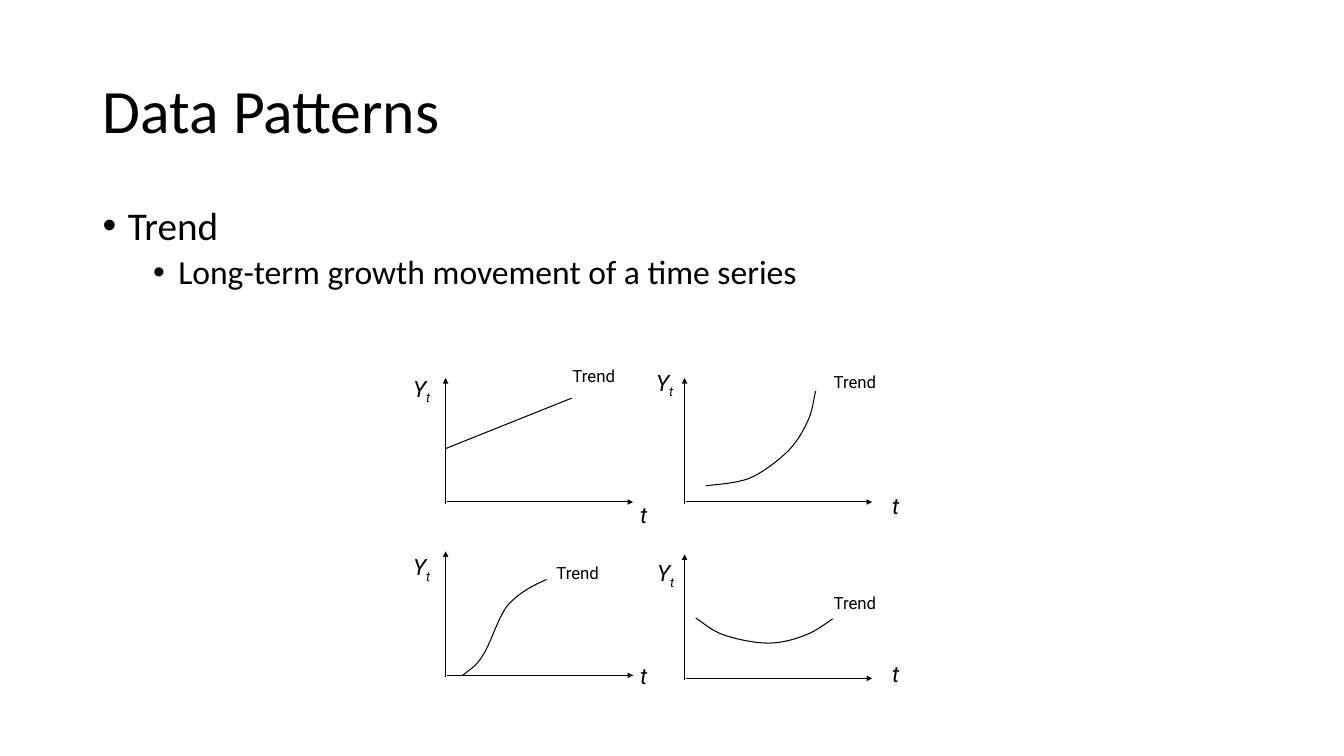
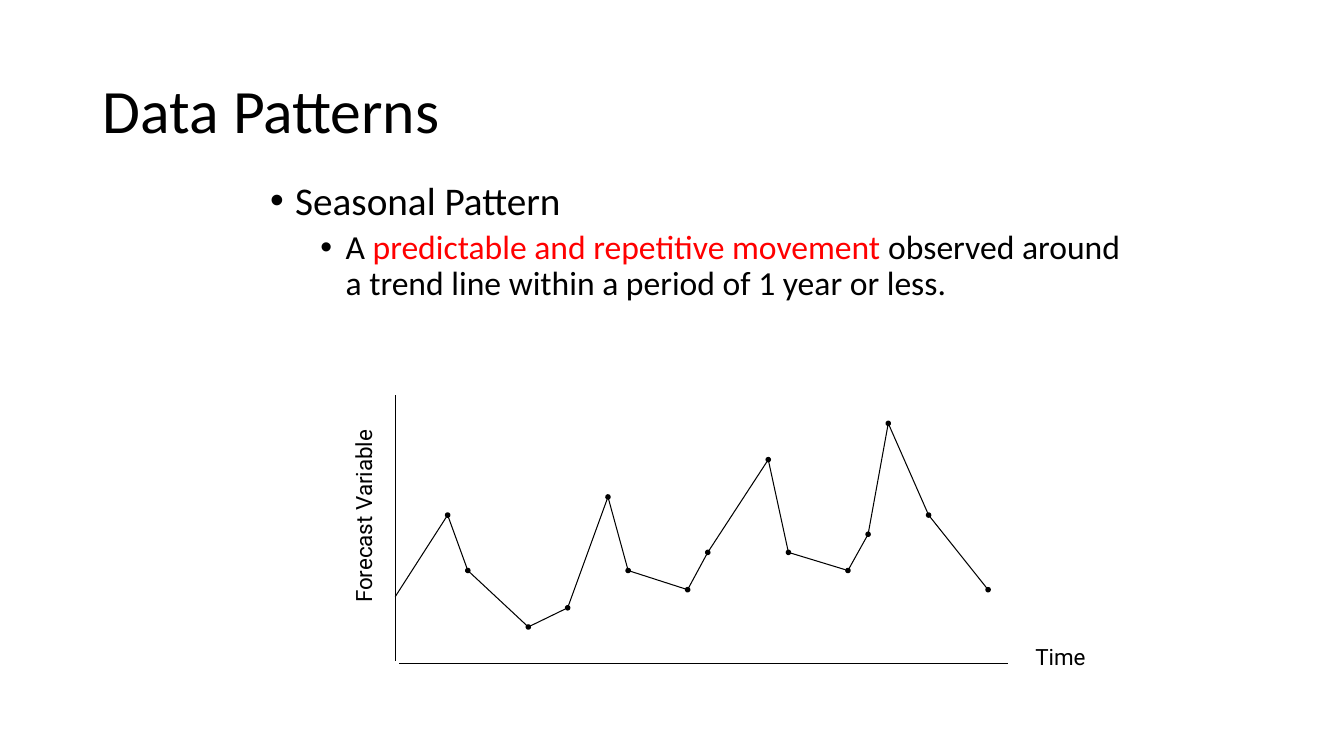
from dataclasses import dataclass
from itertools import pairwise

from lxml import etree
from pptx import Presentation
from pptx.dml.color import RGBColor
from pptx.enum.shapes import MSO_CONNECTOR
from pptx.enum.text import MSO_ANCHOR, MSO_AUTO_SIZE, PP_ALIGN
from pptx.oxml.ns import qn
from pptx.util import Pt

PX = 9144
STRAIGHT = MSO_CONNECTOR.STRAIGHT
MIDDLE = MSO_ANCHOR.MIDDLE
NO_AUTOFIT = MSO_AUTO_SIZE.NONE
LEFT = PP_ALIGN.LEFT

BLACK, RED = "000000", "FF0000"
BODY_FONT, LABEL_FONT = "Calibri", "Roboto"
TITLE_ONLY = 5
TITLE_BOX = (92, 40, 1150, 145)
BULLET_LEVELS = ((25, 28, 0), (75, 24, 5))


@dataclass
class Panel:
    """One small trend chart, with parts placed from the top of its axis."""

    origin: tuple
    value_label: tuple
    time_label: tuple
    trend_label: tuple
    curve: tuple


PANELS = (
    Panel((442, 375), (-42, -8), (183, 117), (116, -17), ((0, 70), (125, 20))),
    Panel((679, 375), (-38, -14), (196, 108), (138, -11),
          ((21, 107), (27, 106), (49, 105), (63, 100), (76, 95), (90, 84), (100, 75),
           (110, 66), (117, 54), (122, 43), (127, 33), (128, 20), (130, 13))),
    Panel((442, 547), (-42, -3), (183, 105), (100, 6),
          ((17, 123), (21, 119), (30, 115), (37, 103), (45, 91), (52, 65), (62, 53),
           (73, 41), (86, 34), (100, 28))),
    Panel((679, 550), (-37, 0), (196, 100), (138, 33),
          ((11, 63), (16, 66), (27, 76), (39, 80), (51, 84), (69, 88), (83, 88),
           (97, 88), (110, 84), (120, 80), (131, 76), (142, 67), (147, 64))),
)

SEASONAL_POINTS = (
    (0, 200), (52, 119), (72, 174), (132, 230), (171, 211), (211, 101), (231, 174),
    (290, 193), (310, 156), (370, 64), (390, 156), (449, 174), (469, 138), (489, 28),
    (529, 119), (588, 193),
)


def px(value):
    """Turn px into whole EMU."""
    return round(value * PX)


def color(value):
    """Turn a hex string into a colour."""
    return RGBColor.from_string(value)


def shift(origin, offset):
    """Add an offset to a point."""
    return origin[0] + offset[0], origin[1] + offset[1]


def style_font(font, name, size, fill=BLACK, italic=False):
    """Set the look of a font."""
    font.name, font.size, font.italic = name, Pt(size), italic
    font.color.rgb = color(fill)


def style_line(line):
    """Give a line the shared thin black stroke."""
    line.color.rgb = color(BLACK)
    line.width = Pt(0.75)


def add_line(shapes, start, end, tip=None):
    """Draw a straight line, with an optional small marker at its end."""
    line = shapes.add_connector(STRAIGHT, *map(px, (*start, *end)))
    style_line(line.line)
    if tip:
        etree.SubElement(line.line._get_or_add_ln(), qn("a:tailEnd"),
                         type=tip, w="sm", len="sm")
    etree.SubElement(line._element.spPr, qn("a:effectLst"))


def add_curve(shapes, points):
    """Draw a chain of cubic curves, each of three points after the last."""
    builder = shapes.build_freeform(*map(px, points[0]))
    builder.add_line_segments([tuple(map(px, point)) for point in points[1:]], close=False)
    curve = builder.convert_to_shape()
    curve.fill.background()
    curve.shadow.inherit = False
    style_line(curve.line)
    outline = next(curve._element.iter(qn("a:path")))
    steps = outline.findall(qn("a:lnTo"))
    for first in range(0, len(steps), 3):
        cubic = etree.SubElement(outline, qn("a:cubicBezTo"))
        for step in steps[first:first + 3]:
            cubic.append(step[0])
            outline.remove(step)


def add_label(shapes, text, corner, width, size=16, height=37, italic=False, subscript=""):
    """Place a chart label and return its box."""
    box = shapes.add_textbox(*map(px, (*corner, width, height)))
    box.text_frame.word_wrap = True
    para = box.text_frame.paragraphs[0]
    para.text = text
    if subscript:
        span = para.add_run()
        span.text = subscript
        span._r.get_or_add_rPr().set("baseline", "-25000")
    for span in para.runs:
        style_font(span.font, LABEL_FONT, size, italic=italic)
    return box


def add_page(deck, title):
    """Add a slide with the shared title style."""
    page = deck.slides.add_slide(deck.slide_layouts[TITLE_ONLY])
    box = page.shapes.title
    box.left, box.top, box.width, box.height = map(px, TITLE_BOX)
    frame = box.text_frame
    frame.text = title
    frame.vertical_anchor = MIDDLE
    frame.auto_size = NO_AUTOFIT
    para = frame.paragraphs[0]
    para.alignment = LEFT
    para.line_spacing = 0.9
    style_font(para.runs[0].font, BODY_FONT, 44)
    return page


def add_bullets(page, box, items):
    """Fill a box with one bullet per level, each made of coloured spans."""
    frame = page.shapes.add_textbox(*map(px, box)).text_frame
    frame.word_wrap = True
    for level, spans in enumerate(items):
        indent, size, space = BULLET_LEVELS[level]
        para = frame.add_paragraph() if level else frame.paragraphs[0]
        para.level = level
        para.line_spacing = 0.9
        para.space_before = Pt(space)
        properties = para._p.get_or_add_pPr()
        properties.set("marL", str(px(indent)))
        properties.set("indent", str(px(-25)))
        etree.SubElement(properties, qn("a:buFont"), typeface="Arial")
        etree.SubElement(properties, qn("a:buChar"), char="•")
        for text, fill in spans:
            span = para.add_run()
            span.text = text
            style_font(span.font, BODY_FONT, size, fill)


def add_trend_panel(page, drawing, panel):
    """Draw one trend chart with its axes, curve and labels."""
    origin = panel.origin
    add_line(drawing, shift(origin, (0, 125)), origin, "triangle")
    add_line(drawing, shift(origin, (1, 123)), shift(origin, (186, 123)), "triangle")
    points = [shift(origin, point) for point in panel.curve]
    if len(points) == 2:
        add_line(drawing, *points)
    else:
        add_curve(drawing, points)
    labels = page.shapes
    add_label(labels, "Y", shift(origin, panel.value_label), 50, italic=True, subscript="t")
    add_label(labels, "t", shift(origin, panel.time_label), 33, italic=True)
    add_label(labels, "Trend", shift(origin, panel.trend_label), 83, size=12, height=30)


def add_seasonal_chart(page, origin):
    """Draw the seasonal line with its axes and labels."""
    drawing = page.shapes.add_group_shape().shapes
    add_line(drawing, origin, shift(origin, (0, 264)))
    add_line(drawing, shift(origin, (4, 266)), shift(origin, (608, 266)))
    for start, end in pairwise(SEASONAL_POINTS):
        add_line(drawing, shift(origin, start), shift(origin, end), "oval")
    labels = page.shapes
    add_label(labels, "Time", shift(origin, (625, 241)), 92)
    add_label(labels, "Forecast Variable", shift(origin, (-169, 60)), 275).rotation = 270


def build_trend_page(deck):
    """Build the slide on trends."""
    page = add_page(deck, "Data Patterns")
    add_bullets(page, (92, 200, 1150, 476), (
        (("Trend", BLACK),),
        (("Long-term growth movement of a time series", BLACK),),
    ))
    drawing = page.shapes.add_group_shape().shapes
    for panel in PANELS:
        add_trend_panel(page, drawing, panel)


def build_seasonal_page(deck):
    """Build the slide on seasonal patterns."""
    page = add_page(deck, "Data Patterns")
    add_bullets(page, (258, 175, 883, 550), (
        (("Seasonal Pattern", BLACK),),
        (("A ", BLACK), ("predictable and repetitive movement ", RED),
         ("observed around a trend line within a period of 1 year or less.", BLACK)),
    ))
    add_seasonal_chart(page, (392, 392))


def main():
    """Build and save the deck."""
    deck = Presentation()
    deck.slide_width, deck.slide_height = px(1333), px(750)
    build_trend_page(deck)
    build_seasonal_page(deck)
    deck.save("out.pptx")


if __name__ == "__main__":
    main()
